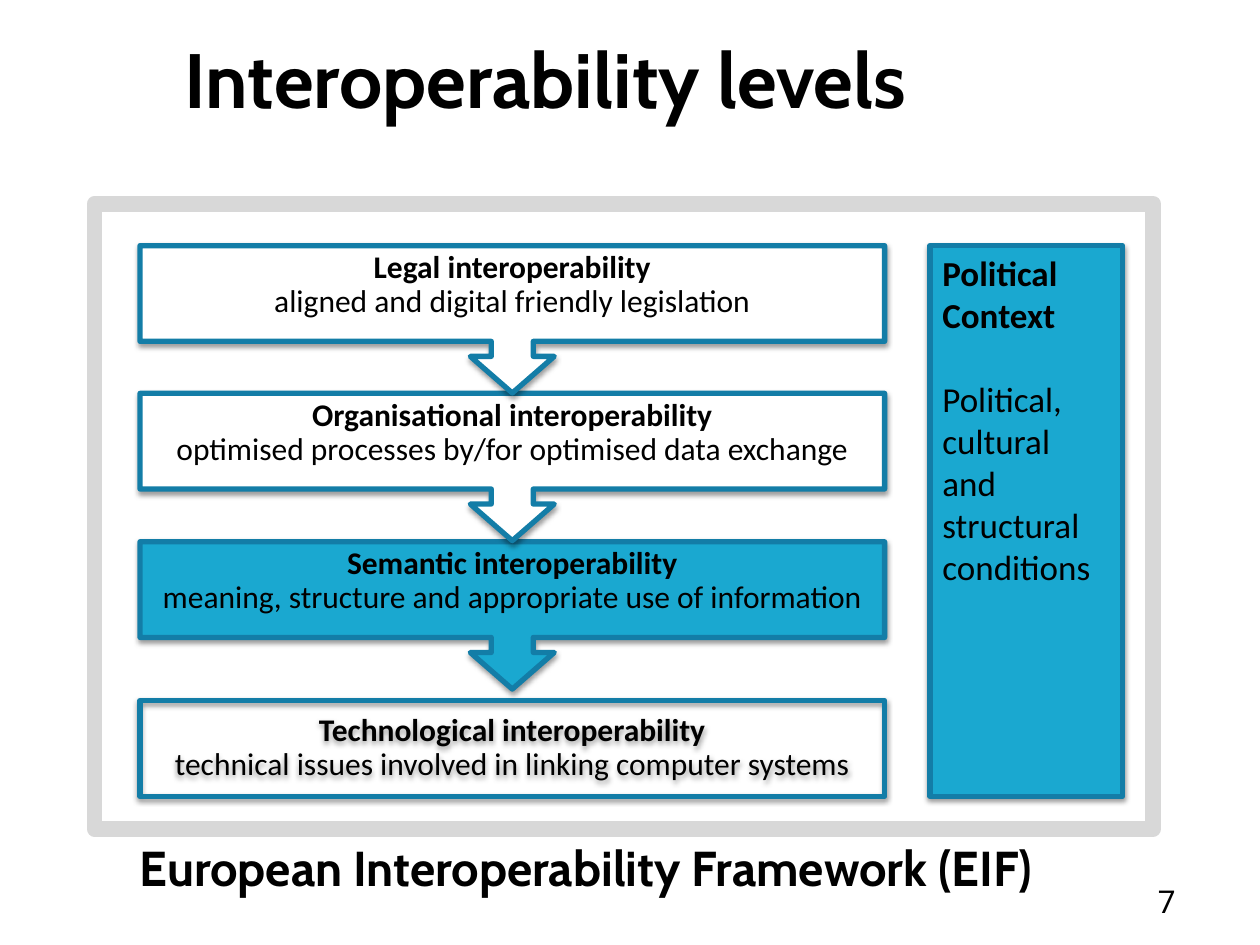
from lxml.etree import SubElement
from pptx import Presentation
from pptx.dml.color import RGBColor
from pptx.enum.shapes import MSO_SHAPE
from pptx.enum.text import MSO_ANCHOR, MSO_AUTO_SIZE, PP_ALIGN
from pptx.oxml.ns import qn
from pptx.util import Pt

BLACK = RGBColor(0x00, 0x00, 0x00)
WHITE = RGBColor(0xFF, 0xFF, 0xFF)
GREY = RGBColor(0xD8, 0xD8, 0xD8)
BLUE = RGBColor(0x1A, 0xA8, 0xD0)
DARK_BLUE = RGBColor(0x13, 0x7D, 0xA7)


def write(para, text, font="Calibri", size=18, bold=False, align=PP_ALIGN.LEFT):
    para.alignment = align
    span = para.add_run()
    span.text = text
    span.font.name = font
    span.font.size = Pt(size)
    span.font.bold = bold
    span.font.color.rgb = BLACK


def style_block(block, fill):
    """Give a block its fill (None for none), blue outline and soft shadow."""
    if fill is None:
        block.fill.background()
    else:
        block.fill.solid()
        block.fill.fore_color.rgb = fill
    block.line.color.rgb = DARK_BLUE
    block.line.width = Pt(3)
    block.shadow.inherit = False
    effects = block.element.spPr.find(qn("a:effectLst"))
    shadow = SubElement(effects, qn("a:outerShdw"), blurRad=str(Pt(3.1)),
                        dist=str(Pt(1.6)), dir="5400000", rotWithShape="0")
    color = SubElement(shadow, qn("a:srgbClr"), val=str(BLACK))
    SubElement(color, qn("a:alpha"), val="38000")


deck = Presentation()
deck.slide_width, deck.slide_height = Pt(720), Pt(540)
page = deck.slides.add_slide(deck.slide_layouts[5])

# Title
title = page.shapes.title
title.left, title.top, title.width, title.height = Pt(102), Pt(14.4), Pt(584), Pt(102)
title.text_frame.auto_size = MSO_AUTO_SIZE.NONE
title.text_frame.vertical_anchor = MSO_ANCHOR.TOP
title.text_frame.margin_left = title.text_frame.margin_top = Pt(3.6)
write(title.text_frame.paragraphs[0], "Interoperability levels",
      font="Cabin", size=44, bold=True)

# Frame around the diagram
frame = page.shapes.add_shape(MSO_SHAPE.RECTANGLE, Pt(54), Pt(116.6), Pt(605), Pt(357))
frame.shadow.inherit = False
frame.fill.solid()
frame.fill.fore_color.rgb = WHITE
frame.line.color.rgb = GREY
frame.line.width = Pt(9)

# Levels, from the bottom up so that each arrow tip lies over the next block
LEFT, RIGHT, BODY = 80, 505.5, 54.7
MIDDLE = (LEFT + RIGHT) / 2
SHAFT, HEAD = 12, 24
NECK, TIP = BODY + 8.6, BODY + 29.5
levels = [
    (400.3, None, False, "Technological interoperability",
     "technical issues involved in linking computer systems"),
    (309.6, BLUE, True, "Semantic interoperability",
     "meaning, structure and appropriate use of information"),
    (224.8, WHITE, True, "Organisational interoperability",
     "optimised processes by/for optimised data exchange"),
    (140.4, WHITE, True, "Legal interoperability",
     "aligned and digital friendly legislation"),
]
for top, fill, has_arrow, name, meaning in levels:
    corners = [(LEFT, 0), (RIGHT, 0), (RIGHT, BODY)]
    if has_arrow:
        corners += [(MIDDLE + SHAFT, BODY), (MIDDLE + SHAFT, NECK), (MIDDLE + HEAD, NECK),
                    (MIDDLE, TIP),
                    (MIDDLE - HEAD, NECK), (MIDDLE - SHAFT, NECK), (MIDDLE - SHAFT, BODY)]
    corners.append((LEFT, BODY))
    points = [(Pt(x), Pt(top + y)) for x, y in corners]
    builder = page.shapes.build_freeform(*points[0])
    builder.add_line_segments(points[1:], close=True)
    block = builder.convert_to_shape()
    style_block(block, fill)
    text = block.text_frame
    text.word_wrap = True
    text.vertical_anchor = MSO_ANCHOR.MIDDLE
    text.margin_left = text.margin_right = text.margin_top = Pt(10)
    text.margin_bottom = Pt(49 if has_arrow else 10)
    para = text.paragraphs[0]
    para.line_spacing = 0.9
    write(para, name, bold=True, align=PP_ALIGN.CENTER)
    para.add_line_break()
    write(para, meaning, align=PP_ALIGN.CENTER)

# Political context
context = page.shapes.add_shape(MSO_SHAPE.RECTANGLE, Pt(531.4), Pt(140.4), Pt(110), Pt(314.6))
style_block(context, BLUE)
text = context.text_frame
text.word_wrap = True
text.vertical_anchor = MSO_ANCHOR.TOP
write(text.paragraphs[0], "Political Context", size=20, bold=True)
para = text.add_paragraph()
para.space_before = Pt(24)
write(para, "Political, cultural and structural conditions", size=20)

# Caption and page number
labels = [
    ((76.3, 475.2, 590, 54.7), "European Interoperability Framework (EIF)",
     dict(font="Cabin", size=28, bold=True)),
    ((649.4, 500.4, 34.6, 29.5), "7", dict(font="Roboto", align=PP_ALIGN.CENTER)),
]
for place, label, look in labels:
    box = page.shapes.add_textbox(*map(Pt, place))
    text = box.text_frame
    text.word_wrap = True
    text.margin_left = text.margin_right = text.margin_top = text.margin_bottom = Pt(3.6)
    write(text.paragraphs[0], label, **look)

deck.save("out.pptx")
